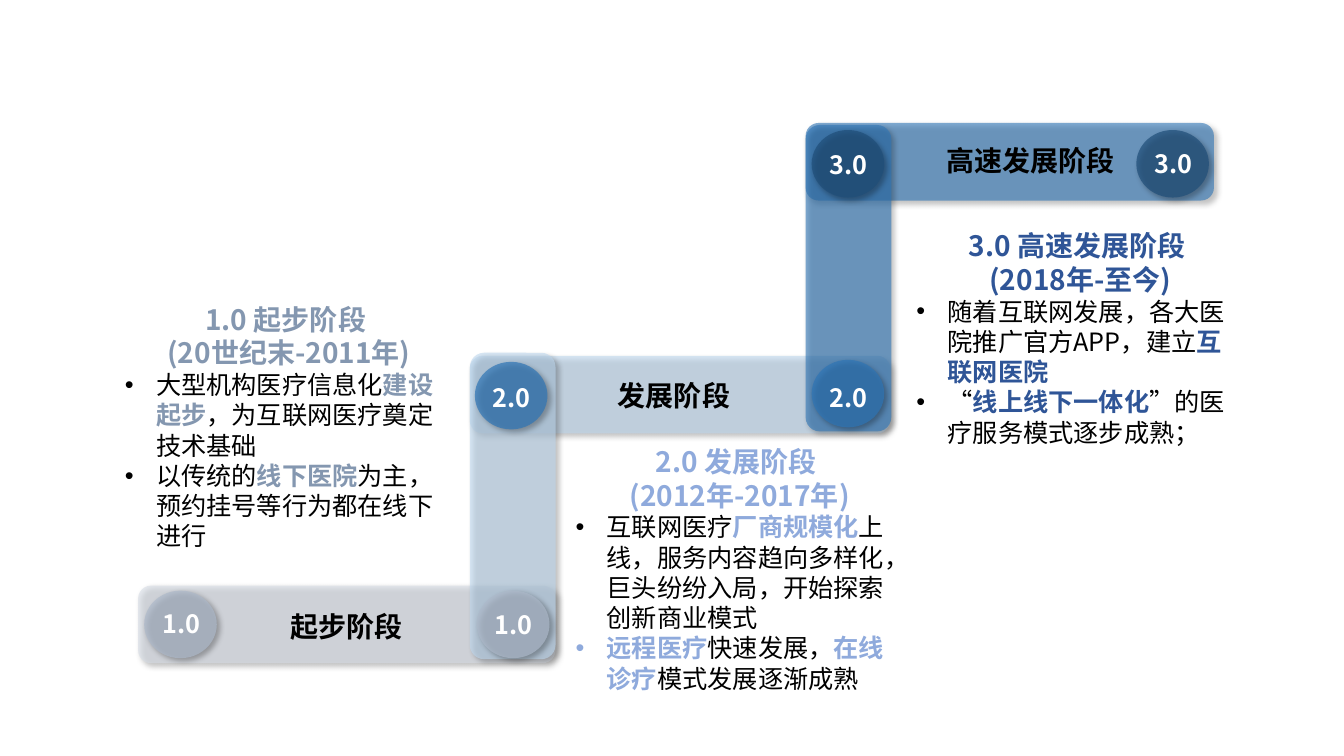
from lxml import etree
from pptx import Presentation
from pptx.dml.color import RGBColor
from pptx.enum.shapes import MSO_SHAPE as Shape
from pptx.enum.text import PP_ALIGN as Align
from pptx.oxml import parse_xml
from pptx.oxml.ns import nsdecls, qn
from pptx.util import Inches, Pt

FONT = "Noto Sans CJK SC"
BLACK, WHITE = "000000", "FFFFFF"

presentation = Presentation()
presentation.slide_width, presentation.slide_height = Inches(13.33), Inches(7.5)
slide = presentation.slides.add_slide(presentation.slide_layouts[6])

# Grid of 13.33 columns by 7.5 rows
column = presentation.slide_width / 13.33
row = presentation.slide_height / 7.5


def paint(color_format, color):
    color_format.rgb = RGBColor.from_string(color)


def style(run, size, color, bold=True):
    run.font.size, run.font.bold, run.font.name = Pt(size), bold, FONT
    paint(run.font.color, color)
    etree.SubElement(run.font._element, qn("a:ea")).set("typeface", FONT)


# Staircase: (shape, left, top, width, height, fill, opacity)
BAR_HEIGHT, POST_WIDTH, POST_HEIGHT = 0.77, 0.85, 3.04
DISC_WIDTH, DISC_HEIGHT = 0.72, 0.67
bars = [
    (1.37, 5.81, 4.14, BAR_HEIGHT, "D6DCE5"),
    (4.66, 3.53, 4.17, BAR_HEIGHT, "BDD7EE"),
    (4.66, 3.5, POST_WIDTH, POST_HEIGHT, "BDD7EE"),
    (7.99, 1.22, 4.05, BAR_HEIGHT, "2E75B6"),
    (7.99, 1.24, POST_WIDTH, POST_HEIGHT, "2E75B6"),
]
# Discs: (left, top, colour, number, number top)
discs = [
    (1.43, 5.86, "ADB9CA", "1.0", 5.99),
    (4.73, 5.86, "ADB9CA", "1.0", 6),
    (4.71, 3.59, "2E75B6", "2.0", 3.74),
    (8.05, 3.57, "2E75B6", "2.0", 3.74),
    (8.05, 1.29, "1F4E79", "3.0", 1.43),
    (11.27, 1.29, "1F4E79", "3.0", 1.42),
]
pieces = [(Shape.ROUNDED_RECTANGLE, *bar, 60) for bar in bars]
pieces += [(Shape.OVAL, left, top, DISC_WIDTH, DISC_HEIGHT, color, 70)
           for left, top, color, *_ in discs]

for kind, left, top, width, height, color, opacity in pieces:
    shape = slide.shapes.add_shape(kind, int(left * column), int(top * row),
                                   int(width * column), int(height * row))
    shape.line.fill.background()
    shape.fill.solid()
    paint(shape.fill.fore_color, color)
    fill = shape._element.spPr.find(qn("a:solidFill"))[0]
    etree.SubElement(fill, qn("a:alpha")).set("val", str(opacity * 1000))
    shape._element.spPr.append(parse_xml(
        f'<a:effectLst {nsdecls("a")}><a:outerShdw blurRad="{Pt(4)}" dist="{Pt(3)}" '
        f'dir="2700000" algn="tl" rotWithShape="0"><a:srgbClr val="{BLACK}">'
        '<a:alpha val="40000"/></a:srgbClr></a:outerShdw></a:effectLst>'))

# Disc numbers and stage names
labels = [(left + 0.08, top, 0.58, 0.4, number, 18, WHITE)
          for left, _, _, number, top in discs]
labels += [
    (2.78, 6, 2.29, 0.44, "起步阶段", 20, BLACK),
    (6.03, 3.71, 2.29, 0.44, "发展阶段", 20, BLACK),
    (9.29, 1.37, 2.29, 0.44, "高速发展阶段", 20, BLACK),
]
for left, top, width, height, text, size, color in labels:
    box = slide.shapes.add_textbox(int(left * column), int(top * row),
                                   int(width * column), int(height * row))
    box.text_frame.word_wrap = size == 20
    box.text_frame.text = text
    style(box.text_frame.paragraphs[0].runs[0], size, color)

# Stage notes: bars in a bullet text enclose the highlighted words
notes = [
    (1.14, 2.95, 4.41, "8497B0", ["1.0 起步阶段 ", "(20世纪末-2011年)"],
     ["大型机构医疗信息化|建设起步|，为互联网医疗奠定技术基础",
      "以传统的|线下医院|为主，预约挂号等行为都在线下进行"]),
    (5.61, 4.36, 4.11, "8FAADC", ["2.0 发展阶段 ", "(2012年-2017年)"],
     ["互联网医疗|厂商规模化|上线，服务内容趋向多样化，巨头纷纷入局，开始探索创新商业模式",
      "|远程医疗|快速发展，|在线诊疗|模式发展逐渐成熟"]),
    (8.99, 2.22, 3.5, "2F5597", ["3.0 高速发展阶段 ", "(2018年-至今)"],
     ["随着互联网发展，各大医院推广官方APP，建立|互联网医院|",
      "“|线上线下一体化|”的医疗服务模式逐步成熟；"]),
]
for left, top, height, accent, headings, bullets in notes:
    box = slide.shapes.add_textbox(int(left * column), int(top * row),
                                   int(3.45 * column), int(height * row))
    frame = box.text_frame
    frame.word_wrap = True
    for index, text in enumerate(headings + bullets):
        paragraph = frame.add_paragraph() if index else frame.paragraphs[0]
        if text in headings:
            paragraph.alignment = Align.CENTER
            paragraph.text = text
            style(paragraph.runs[0], 20, accent)
            continue
        properties = paragraph._element.get_or_add_pPr()
        properties.set("marL", str(Inches(0.31)))
        properties.set("indent", str(-Inches(0.31)))
        etree.SubElement(properties, qn("a:buFont")).set("typeface", "Arial")
        etree.SubElement(properties, qn("a:buChar")).set("char", "•")
        for position, part in enumerate(text.split("|")):
            if part:
                run = paragraph.add_run()
                run.text = part
                marked = position % 2 == 1
                style(run, 18, accent if marked else BLACK, marked)

presentation.save("out.pptx")
